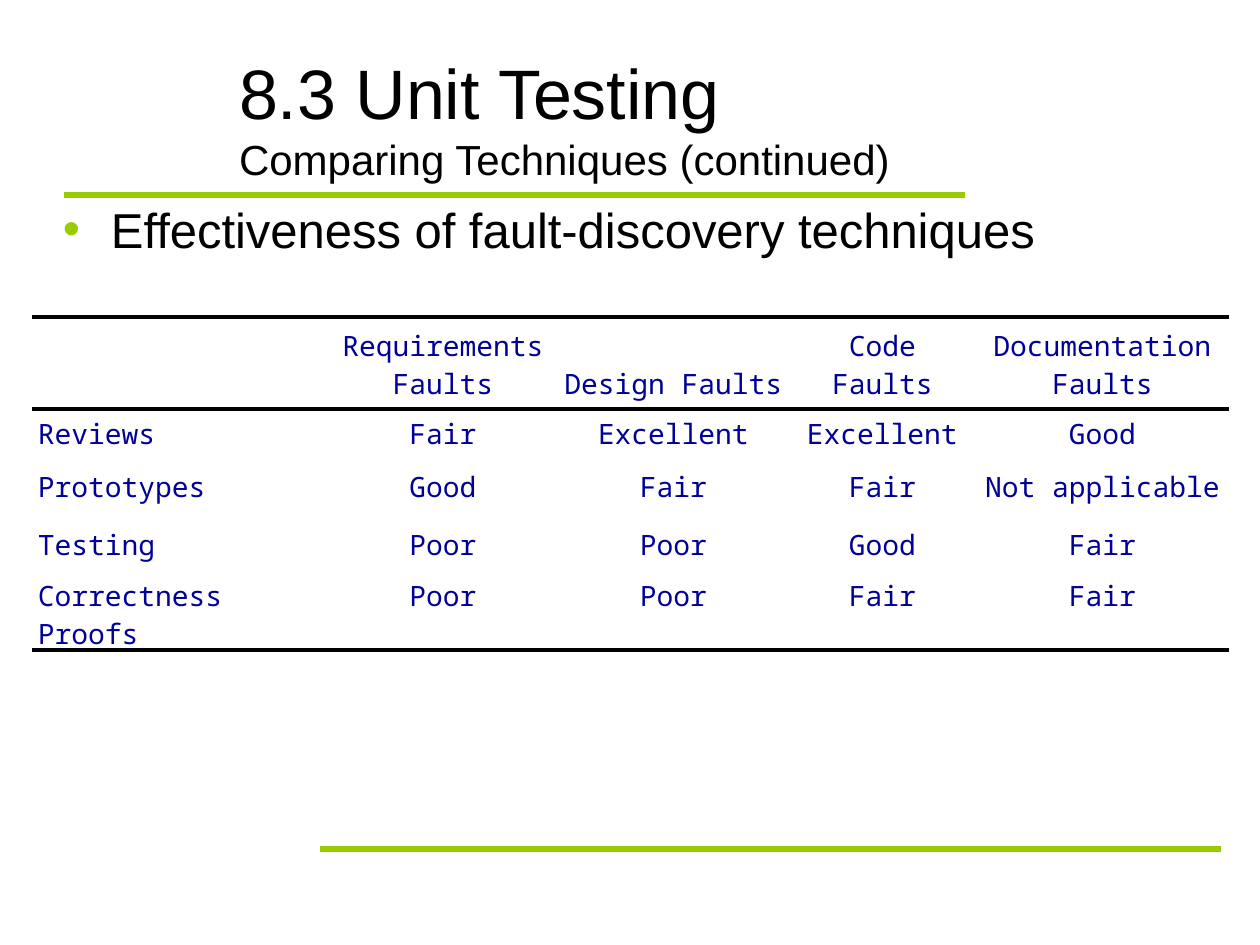
from dataclasses import dataclass

from lxml import etree
from pptx import Presentation
from pptx.dml.color import RGBColor
from pptx.enum.shapes import MSO_CONNECTOR
from pptx.enum.text import MSO_ANCHOR, MSO_AUTO_SIZE, PP_ALIGN
from pptx.oxml.ns import qn
from pptx.util import Emu, Pt

STRAIGHT = MSO_CONNECTOR.STRAIGHT
TOP, MIDDLE, BOTTOM = MSO_ANCHOR.TOP, MSO_ANCHOR.MIDDLE, MSO_ANCHOR.BOTTOM
LEFT, CENTER = PP_ALIGN.LEFT, PP_ALIGN.CENTER
NO_AUTOFIT = MSO_AUTO_SIZE.NONE
TITLE_ONLY = 5
PX_PER_INCH = 126


@dataclass(frozen=True)
class Theme:
    text: str = "000000"
    accent: str = "99CC00"
    table_text: str = "000099"
    font: str = "Arial"
    table_font: str = "Noto Sans Mono"
    title_size: int = 40
    subtitle_size: int = 24
    body_size: int = 28
    table_size: int = 16
    rule_width: float = 3
    border_width: float = 2.25


THEME = Theme()

TITLE = "8.3 Unit Testing"
SUBTITLE = "Comparing Techniques (continued)"
BULLET = "Effectiveness of fault-discovery techniques"
TABLE = [
    ["", "Requirements Faults", "Design Faults", "Code Faults", "Documentation Faults"],
    ["Reviews", "Fair", "Excellent", "Excellent", "Good"],
    ["Prototypes", "Good", "Fair", "Fair", "Not applicable"],
    ["Testing", "Poor", "Poor", "Good", "Fair"],
    ["Correctness Proofs", "Poor", "Poor", "Fair", "Fair"],
]

# Left, top, width, height in px
TITLE_BOX = (233, 38, 964, 157)
BODY_BOX = (63, 199, 1133, 311)
TABLE_ORIGIN = (32, 317)
COLUMN_WIDTHS = [296, 230, 231, 187, 253]
ROW_HEIGHTS = [92, 53, 58, 51, 62]
# Left, y, length in px
RULES = [(64, 195, 901), (320, 849, 901)]
INSET = 6
BULLET_INDENT = 48


def px(value):
    return Emu(round(value * 914400 / PX_PER_INCH))


def format_run(run, size, font, color):
    run.font.size = Pt(size)
    run.font.name = font
    run.font.color.rgb = RGBColor.from_string(color)


def set_insets(target, inset):
    target.margin_left = target.margin_right = px(inset)
    target.margin_top = target.margin_bottom = px(inset)


def add_rule(slide, left, y, length):
    rule = slide.shapes.add_connector(STRAIGHT, px(left), px(y), px(left + length), px(y))
    rule.line.color.rgb = RGBColor.from_string(THEME.accent)
    rule.line.width = Pt(THEME.rule_width)
    etree.SubElement(rule.element.spPr, qn("a:effectLst"))


def set_title(slide):
    title = slide.shapes.title
    title.left, title.top, title.width, title.height = map(px, TITLE_BOX)
    frame = title.text_frame
    frame.auto_size = NO_AUTOFIT
    frame.vertical_anchor = MIDDLE
    set_insets(frame, INSET)
    paragraph = frame.paragraphs[0]
    paragraph.text = f"{TITLE}\v{SUBTITLE}"
    paragraph.alignment = LEFT
    for run, size in zip(paragraph.runs, (THEME.title_size, THEME.subtitle_size)):
        format_run(run, size, THEME.font, THEME.text)
    line_break = paragraph.runs[0]._r.getnext()
    etree.SubElement(line_break, qn("a:rPr"), sz=str(THEME.title_size * 100))


def add_bullet(slide):
    frame = slide.shapes.add_textbox(*map(px, BODY_BOX)).text_frame
    frame.word_wrap = True
    set_insets(frame, 0)
    paragraph = frame.paragraphs[0]
    paragraph.text = BULLET
    paragraph.space_before = Pt(6)
    format_run(paragraph.runs[0], THEME.body_size, THEME.font, THEME.text)
    properties = paragraph._p.get_or_add_pPr()
    properties.set("marL", str(px(BULLET_INDENT)))
    properties.set("indent", str(-px(BULLET_INDENT)))
    bullet_color = etree.SubElement(properties, qn("a:buClr"))
    etree.SubElement(bullet_color, qn("a:srgbClr"), val=THEME.accent)
    etree.SubElement(properties, qn("a:buFont"), typeface=THEME.font)
    etree.SubElement(properties, qn("a:buChar"), char="•")


def set_borders(cell, visible):
    """Draw the sides named in visible (T, B) and clear the others."""
    properties = cell._tc.get_or_add_tcPr()
    for side in "LRTB":
        line = etree.SubElement(properties, qn(f"a:ln{side}"))
        if side in visible:
            line.set("w", str(Pt(THEME.border_width)))
            fill = etree.SubElement(line, qn("a:solidFill"))
            etree.SubElement(fill, qn("a:srgbClr"), val=THEME.text)
        else:
            etree.SubElement(line, qn("a:noFill"))


def add_fault_table(slide):
    sizes = (sum(COLUMN_WIDTHS), sum(ROW_HEIGHTS))
    table = slide.shapes.add_table(
        len(TABLE), len(TABLE[0]), *map(px, TABLE_ORIGIN + sizes)
    ).table
    table.first_row = table.horz_banding = False
    for column, width in zip(table.columns, COLUMN_WIDTHS):
        column.width = px(width)
    for row, height in zip(table.rows, ROW_HEIGHTS):
        row.height = px(height)

    borders = {0: "TB", 1: "T", len(TABLE) - 1: "B"}
    for row_index, texts in enumerate(TABLE):
        for column_index, text in enumerate(texts):
            cell = table.cell(row_index, column_index)
            set_borders(cell, borders.get(row_index, ""))
            cell.fill.background()
            set_insets(cell, INSET)
            cell.vertical_anchor = BOTTOM if row_index == 0 else TOP
            paragraph = cell.text_frame.paragraphs[0]
            paragraph.text = text
            paragraph.alignment = CENTER if column_index else LEFT
            for run in paragraph.runs:
                format_run(run, THEME.table_size, THEME.table_font, THEME.table_text)


def main():
    presentation = Presentation()
    presentation.slide_width, presentation.slide_height = px(1260), px(945)
    slide = presentation.slides.add_slide(presentation.slide_layouts[TITLE_ONLY])
    for rule in RULES:
        add_rule(slide, *rule)
    set_title(slide)
    add_bullet(slide)
    add_fault_table(slide)
    presentation.save("out.pptx")


if __name__ == "__main__":
    main()
